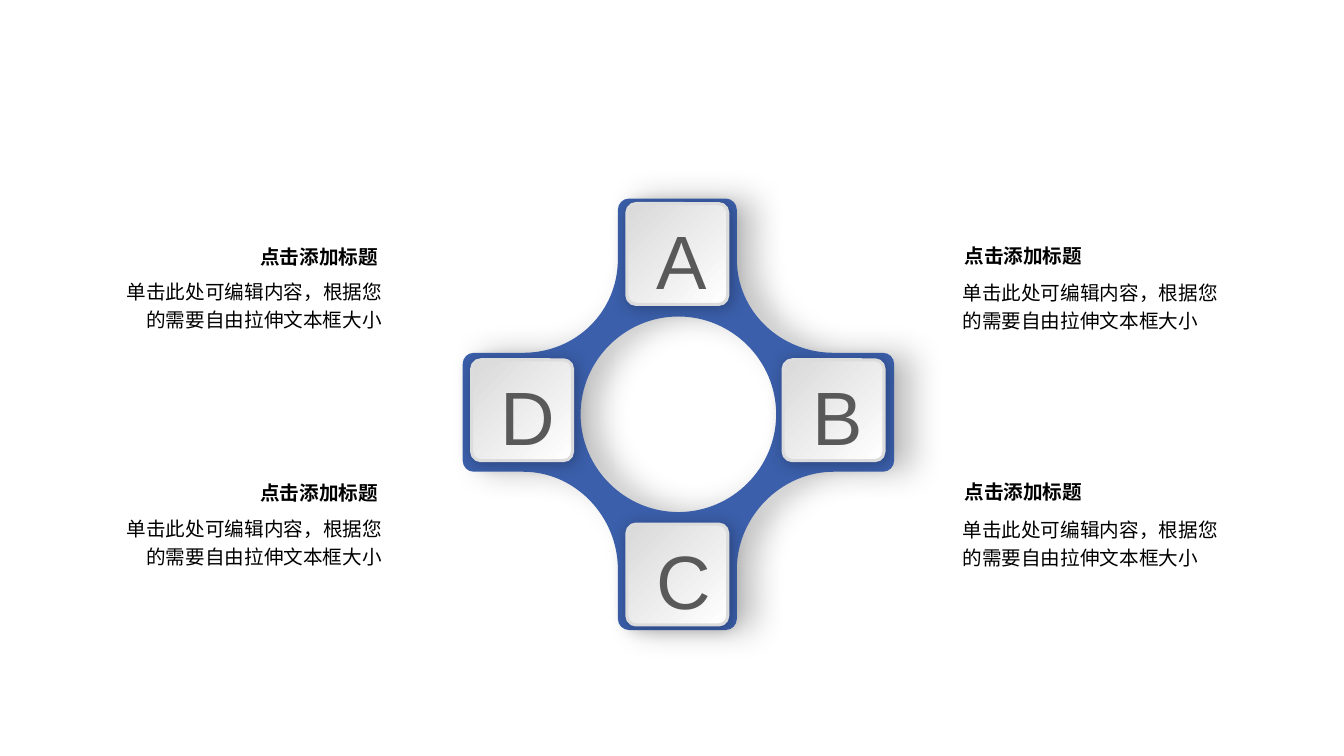
from lxml import etree
from pptx import Presentation
from pptx import util as u
from pptx.dml.color import RGBColor
from pptx.enum import shapes, text
from pptx.oxml import ns

PX = 9144  # 100 px to the inch
THEME = {
    "cross": RGBColor.from_string("3B5FAB"),
    "tile_from": RGBColor.from_string("D9D9DA"),
    "tile_to": RGBColor.from_string("FFFFFF"),
    "tile_line": RGBColor.from_string("DCDCDC"),
    "letter": RGBColor.from_string("595959"),
    "body": RGBColor.from_string("000000"),
    "latin_font": "Arial",
    "cjk_font": "Noto Sans CJK SC",
    "letter_size": u.Pt(54),
    "body_size": u.Pt(14),
}


def add_shadow(shape, alpha, blur, distance, angle):
    """Cast a black outer shadow: percent, points, points, degrees."""
    shape.shadow.inherit = False
    effects = shape._element.spPr.find(ns.qn("a:effectLst"))
    shadow = etree.SubElement(
        effects, ns.qn("a:outerShdw"), blurRad=str(u.Pt(blur)), dist=str(u.Pt(distance)),
        dir=str(angle * 60000), algn="ctr", rotWithShape="0")
    color = etree.SubElement(shadow, ns.qn("a:srgbClr"), val="000000")
    etree.SubElement(color, ns.qn("a:alpha"), val=str(alpha * 1000))


def add_text(left, top, width, height, words, font, size, color):
    box = slide.shapes.add_textbox(*(v * PX for v in (left, top, width, height)))
    frame = box.text_frame
    frame.word_wrap = True
    frame.text = words
    paragraph = frame.paragraphs[0]
    run = paragraph.runs[0]
    run.font.name, run.font.size, run.font.color.rgb = font, size, color
    etree.SubElement(run._r.get_or_add_rPr(), ns.qn("a:ea"), typeface=THEME["cjk_font"])
    return paragraph


presentation = Presentation()
presentation.slide_width, presentation.slide_height = u.Inches(40 / 3), 750 * PX
slide = presentation.slides.add_slide(presentation.slide_layouts[6])

# Cross: one quarter of the outline, turned four times, around a round hole.
# Points come in threes: two handles and the end of a curve.
CENTER_X, CENTER_Y, REACH, HALF_ARM, CORNER, HOLE = 673, 411, 214, 59, 11, 97
ARM_SHIFT_X, ARM_SHIFT_Y = -1, -2
ROUND = 0.55  # handle length of a quarter circle, as a share of its radius
inner = 154
bend = (inner - HALF_ARM) * (1 - ROUND)
corner_bend = CORNER * (1 - ROUND)
shoulder = REACH - CORNER
quarter = [
    (HALF_ARM - corner_bend, -REACH), (HALF_ARM, corner_bend - REACH), (HALF_ARM, -shoulder),
    *[(HALF_ARM, -inner)] * 3,
    (HALF_ARM, -HALF_ARM - bend), (HALF_ARM + bend, -HALF_ARM), (inner, -HALF_ARM),
    *[(shoulder, -HALF_ARM)] * 3,
    (REACH - corner_bend, -HALF_ARM), (REACH, corner_bend - HALF_ARM),
    (REACH, CORNER - HALF_ARM),
    *[(REACH, HALF_ARM - CORNER)] * 3,
]
# Each turn covers one arm side and the end of the next arm
outline = [(HALF_ARM - CORNER, -REACH)]
hole = [(0, -HOLE)]
hole_quarter = [(-HOLE * ROUND, -HOLE), (-HOLE, -HOLE * ROUND), (-HOLE, 0)]
for turn in range(4):
    outline += quarter
    hole += hole_quarter
    quarter = [(-y, x) for x, y in quarter]
    hole_quarter = [(y, -x) for x, y in hole_quarter]
outline = [(x + ARM_SHIFT_X * (abs(x) <= HALF_ARM), y + ARM_SHIFT_Y * (abs(y) <= HALF_ARM))
           for x, y in outline]
rim, opening = ([((CENTER_X + x) * PX, (CENTER_Y + y) * PX) for x, y in ring]
                for ring in (outline, hole))
builder = slide.shapes.build_freeform(*rim[0])
builder.add_line_segments(rim[1:])
builder.move_to(*opening[0])
builder.add_line_segments(opening[1:])
cross = builder.convert_to_shape()
segments = list(cross._element.iter(ns.qn("a:lnTo")))
for first in range(0, len(segments), 3):
    curve = etree.Element(ns.qn("a:cubicBezTo"))
    segments[first].addprevious(curve)
    for segment in segments[first:first + 3]:
        curve.append(segment[0])
        segment.getparent().remove(segment)
cross.fill.solid()
cross.fill.fore_color.rgb = THEME["cross"]
cross.line.fill.background()
add_shadow(cross, 23, 22, 13, 0)

# Lettered tiles
tiles = [("C", 622, 520), ("D", 468, 357), ("B", 777, 357), ("A", 622, 202)]
for letter, left, top in tiles:
    tile = slide.shapes.add_shape(
        shapes.MSO_SHAPE.ROUNDED_RECTANGLE, left * PX, top * PX, 100 * PX, 100 * PX)
    tile.adjustments[0] = 0.09
    tile.fill.gradient()
    tile.fill.gradient_angle = 315
    for stop, name in zip(tile.fill.gradient_stops, ("tile_from", "tile_to")):
        stop.color.rgb = THEME[name]
    tile.line.color.rgb = THEME["tile_line"]
    tile.line.width = u.Pt(2.25)
    add_shadow(tile, 28, 12, 2, 45)
for letter, left, top in tiles:
    add_text(left + 19, top + 5, 55, 75, letter, THEME["latin_font"],
             THEME["letter_size"], THEME["letter"])

# Heading and description on each side, in two rows
sides = [(232, 238, 106, 268, text.PP_ALIGN.RIGHT), (947, 237, 945, 269, text.PP_ALIGN.LEFT)]
for row in range(2):
    for head_left, head_top, body_left, body_top, align in sides:
        heading = add_text(head_left, head_top + row * 234, 153, 34, "点击添加标题",
                           THEME["cjk_font"], THEME["body_size"], THEME["body"])
        heading.runs[0].font.bold = True
        body = add_text(body_left, body_top + row * 235, 283, 64,
                        "单击此处可编辑内容，根据您的需要自由拉伸文本框大小",
                        THEME["latin_font"], THEME["body_size"], THEME["body"])
        body.line_spacing = 1.2
        heading.alignment = body.alignment = align

presentation.save("out.pptx")
